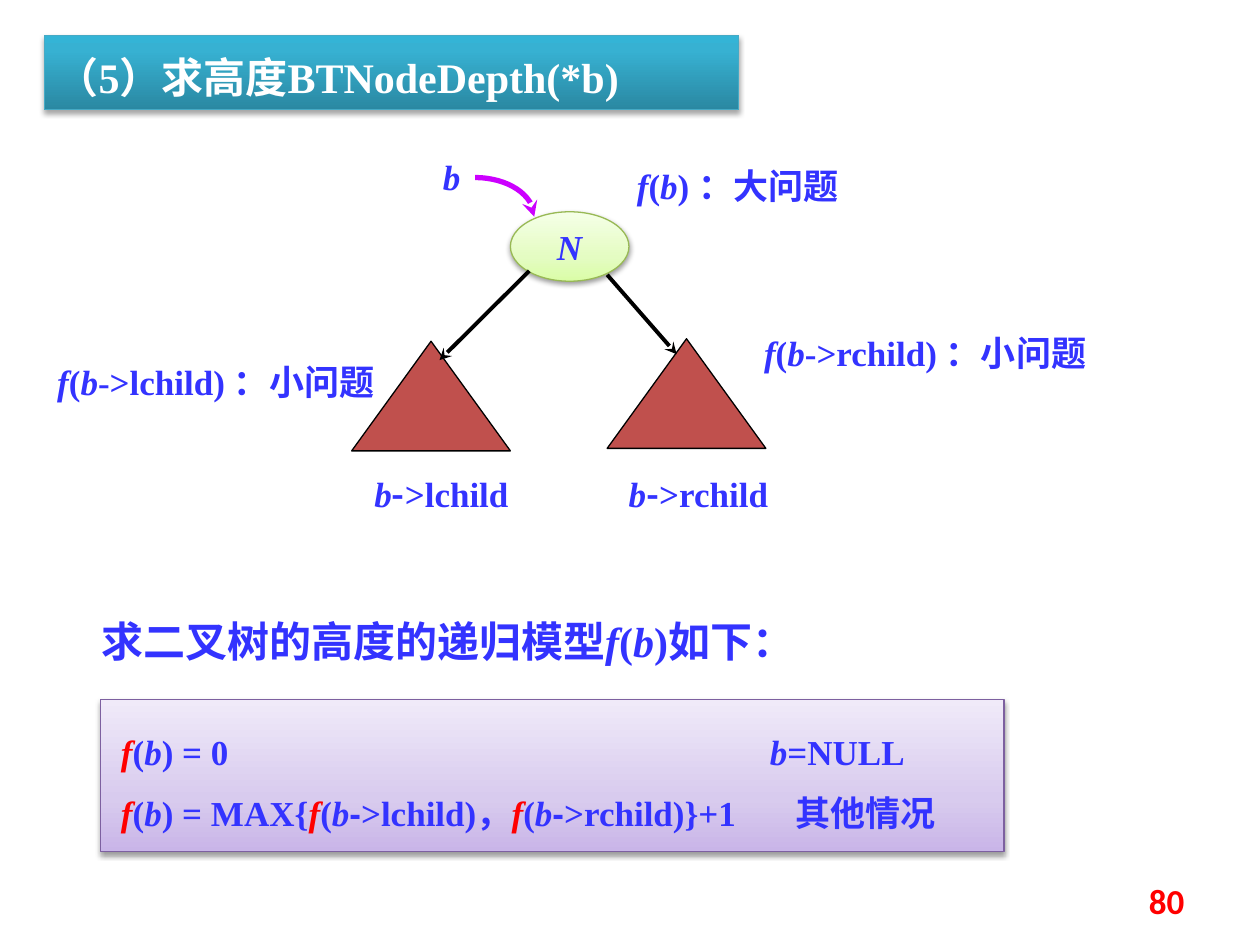
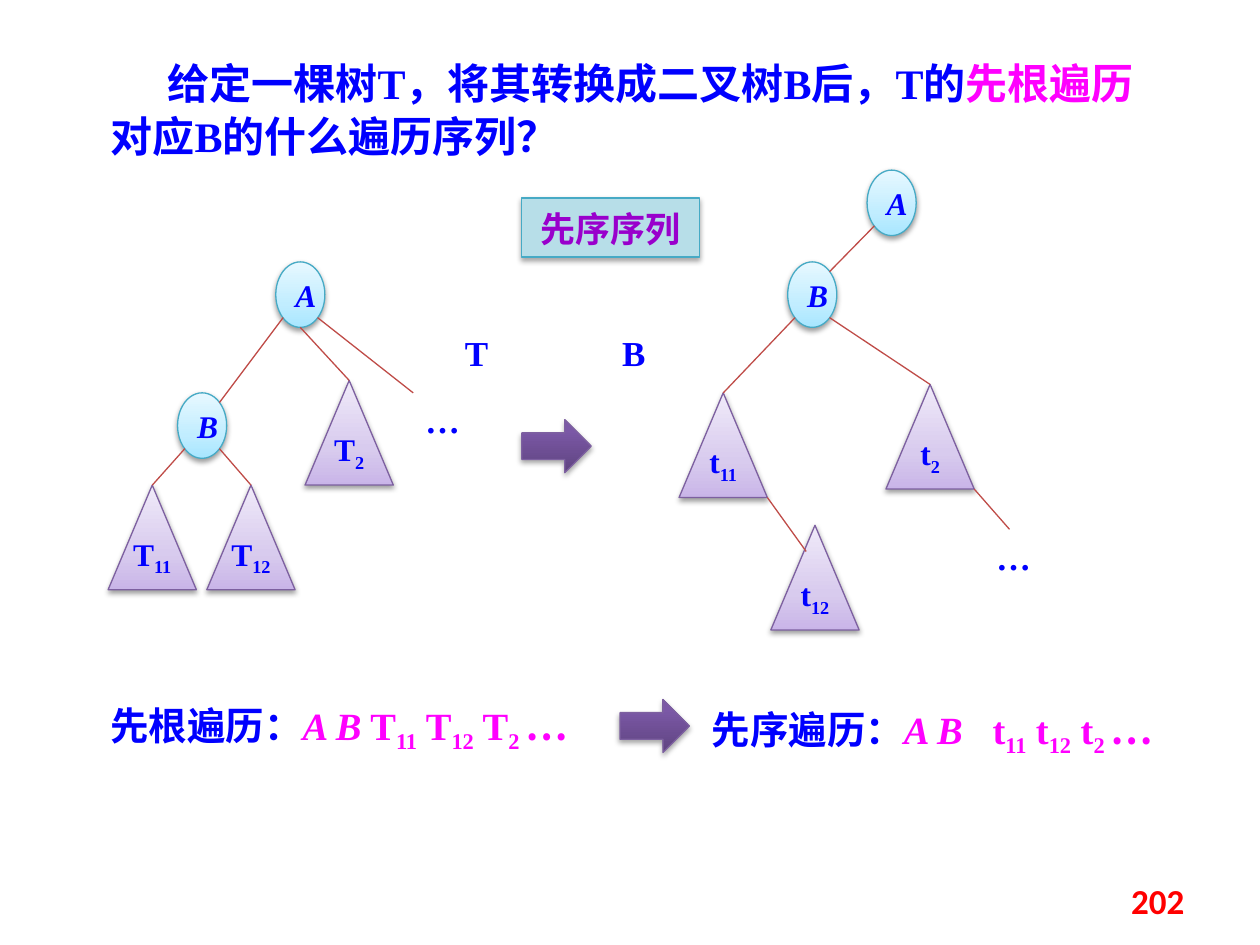
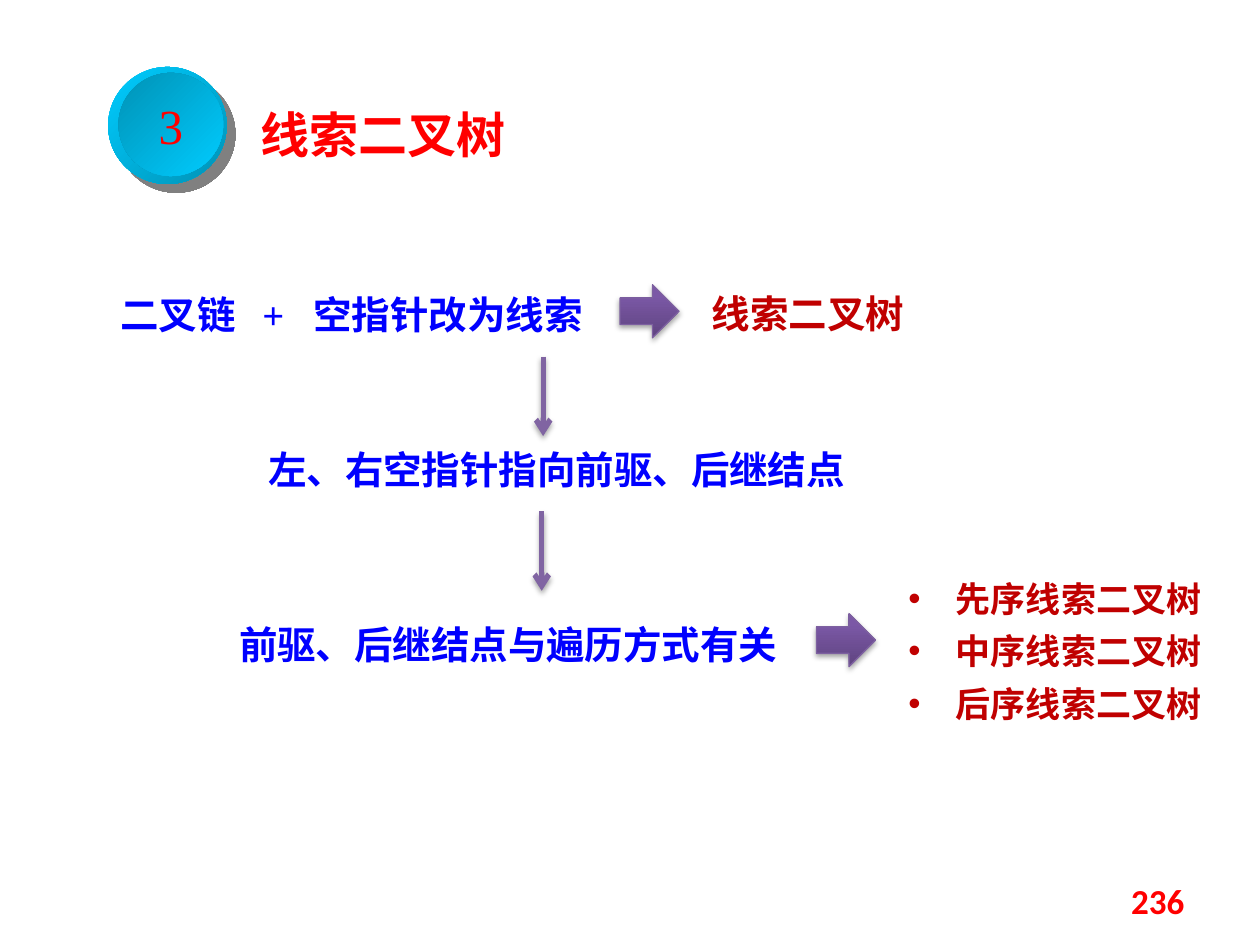
from math import cos, pi, sin

from lxml.etree import SubElement
from pptx import Presentation
from pptx.dml.color import RGBColor
from pptx.enum.shapes import MSO_CONNECTOR, MSO_SHAPE
from pptx.enum.text import MSO_ANCHOR, MSO_AUTO_SIZE, PP_ALIGN
from pptx.oxml.ns import qn
from pptx.util import Cm, Pt

ROMAN, HAN = "Times New Roman", "Noto Sans CJK SC"
INDIGO, BLUE, RED, PINK = "3333FF", "0000FF", "FF0000", "FF00FF"
MAROON, VIOLET, WHITE, BLACK = "C00000", "7D60A0", "FFFFFF", "000000"

# Gradient stops (position, colour) from bottom to top
TEAL = [(0, "2A88A2"), (80, "37B1D2"), (100, "34B4D6")]
LILAC = [(0, "C9B5E8"), (35, "D8CBEE"), (100, "F0EAF9")]
LIME = [(0, "DAFDA7"), (35, "E4FCC2"), (100, "F5FFE7")]
SKY = [(0, "A7E6FF"), (35, "C1EDFF"), (100, "E7F8FF")]
PURPLE = [(0, "5F4480"), (80, "7B58A6"), (100, "7C57A8")]

# Shadow: colour, opacity %, blur pt, distance pt, angle
SOFT = (BLACK, 38, 3.1, 1.6, 90)
FIRM = (BLACK, 35, 3.1, 1.8, 90)
HARD = ("020202", 50, 0, 7.1, 45)

# Points where tree edges meet a node, as fractions of its box
SITES = {"top": (.5, 0), "foot": (.5, 1), "sw": (.15, .85), "se": (.85, .85),
         "ne": (.85, .15), "side": (.4, .25), "end": (1, 1)}


def rgb(code):
    return RGBColor.from_string(code)


def site(shape, name):
    across, down = SITES[name]
    return (shape.left + int(shape.width * across),
            shape.top + int(shape.height * down))


def point(x, y):
    return Cm(x), Cm(y)


def shade(props, shadow):
    """Put one outer shadow, or none, into the shape properties."""
    effects = props.find(qn("a:effectLst"))
    if effects is None:
        effects = SubElement(props, qn("a:effectLst"))
    if shadow:
        color, alpha, blur, dist, angle = shadow
        outer = SubElement(effects, qn("a:outerShdw"), blurRad=str(Pt(blur)),
                           dist=str(Pt(dist)), dir=str(angle * 60000),
                           algn="ctr", rotWithShape="0")
        tint = SubElement(outer, qn("a:srgbClr"), val=color)
        SubElement(tint, qn("a:alpha"), val=str(alpha * 1000))


def tip(line, kind):
    """Add an arrowhead at the far end of a line."""
    SubElement(line._get_or_add_ln(), qn("a:tailEnd"), type=kind)


class Deck:
    def __init__(self):
        self.show = Presentation()
        self.show.slide_width, self.show.slide_height = Cm(25.4), Cm(19.05)

    def page(self, number, layout=5):
        self.slide = self.show.slides.add_slide(self.show.slide_layouts[layout])
        self.shapes = self.slide.shapes
        self.text((18.21, 17.65, 5.92, 1.02), str(number), color=RED,
                  face="Calibri", align=PP_ALIGN.RIGHT, anchor=MSO_ANCHOR.MIDDLE)

    def place(self, shape, box):
        shape.left, shape.top, shape.width, shape.height = map(Cm, box)
        return shape

    def title(self, box, text, **style):
        shape = self.place(self.shapes.title, box)
        self.label(shape, text, **style)
        return shape

    def bullets(self, box, *lines, **style):
        shape = self.place(self.slide.placeholders[1], box)
        self.label(shape, *lines, bullet=True, **style)

    def text(self, box, *lines, **style):
        self.label(self.shapes.add_textbox(*map(Cm, box)), *lines, **style)

    def label(self, shape, *lines, size=20, color=INDIGO, accent=RED, face=ROMAN,
              other=HAN, bold=True, align=PP_ALIGN.LEFT, anchor=MSO_ANCHOR.TOP,
              pads=(.25, .13), wrap=True, pitch=1.0, gap=0, indent=0,
              tabs=(), bullet=False):
        """Fill a shape; _ marks italic, ^ accent, ~ subscript, ` the other face."""
        frame = shape.text_frame
        frame.auto_size, frame.word_wrap = MSO_AUTO_SIZE.NONE, wrap
        frame.vertical_anchor = anchor
        frame.margin_left = frame.margin_right = Cm(pads[0])
        frame.margin_top = frame.margin_bottom = Cm(pads[1])
        for row, line in enumerate(lines):
            para = frame.add_paragraph() if row else frame.paragraphs[0]
            para.alignment, para.line_spacing = align, pitch
            para.space_before = Pt(gap if row else 0)
            props = para._p.get_or_add_pPr()
            if bullet:
                props.set("marL", str(Cm(.96)))
                props.set("indent", str(Cm(-.96)))
                SubElement(props, qn("a:buChar"), char="•")
            elif indent:
                props.set("indent", str(Cm(indent)))
            if tabs:
                stops = SubElement(props, qn("a:tabLst"))
                # One stop per row, or all stops on a single row
                for stop in tabs if len(lines) == 1 else tabs[row:row + 1]:
                    SubElement(stops, qn("a:tab"), pos=str(Cm(stop)), algn="l")
            font = para.font
            font.size, font.bold, font.name = Pt(size), bold, face
            font.color.rgb = rgb(color)
            SubElement(props.find(qn("a:defRPr")), qn("a:ea"), typeface=HAN)
            self.runs(para, line, accent, other)

    def runs(self, para, line, accent, other):
        for hue, part in enumerate(line.split("^")):
            for slant, piece in enumerate(part.split("_")):
                for low, bit in enumerate(piece.split("~")):
                    for alt, word in enumerate(bit.split("`")):
                        if not word:
                            continue
                        run = para.add_run()
                        run.text = word
                        if hue % 2:
                            run.font.color.rgb = rgb(accent)
                        if slant % 2:
                            run.font.italic = True
                        if low % 2:
                            run._r.get_or_add_rPr().set("baseline", "-25000")
                        if alt % 2:
                            run.font.name = other

    def paint(self, shape, fill, line=None, shadow=None, angle=270):
        """Fill with a colour or gradient stops, then set outline and shadow."""
        if isinstance(fill, str):
            shape.fill.solid()
            shape.fill.fore_color.rgb = rgb(fill)
        else:
            shape.fill.gradient()
            grad = shape._element.spPr.find(qn("a:gradFill"))
            stops = grad.find(qn("a:gsLst"))
            for old in list(stops):
                stops.remove(old)
            for pos, color in fill:
                stop = SubElement(stops, qn("a:gs"), pos=str(pos * 1000))
                SubElement(stop, qn("a:srgbClr"), val=color)
            grad.find(qn("a:lin")).set("ang", str(angle * 60000))
        if line:
            shape.line.color.rgb = rgb(line)
            shape.line.width = Pt(.75)
        else:
            shape.line.fill.background()
        shape.shadow.inherit = False
        shade(shape._element.spPr, shadow)

    def shape(self, kind, box, fill, line=None, shadow=None, angle=270):
        shape = self.shapes.add_shape(kind, *map(Cm, box))
        self.paint(shape, fill, line, shadow, angle)
        return shape

    def block(self, x, y, width=1.19):
        """Draw a block arrow pointing right."""
        self.shape(MSO_SHAPE.RIGHT_ARROW, (x, y, width, 1.07), PURPLE, VIOLET, FIRM)

    def node(self, x, y, name):
        shape = self.shape(MSO_SHAPE.OVAL, (x, y, .99, 1.32), SKY, "46AAC5", SOFT)
        self.label(shape, f"_{name}_", size=18, color=BLUE,
                   align=PP_ALIGN.CENTER, anchor=MSO_ANCHOR.MIDDLE)
        return shape

    def subtree(self, x, y, name):
        shape = self.shape(MSO_SHAPE.ISOSCELES_TRIANGLE, (x, y, 1.78, 2.11),
                           LILAC, VIOLET, SOFT)
        self.label(shape, name, size=18, color=BLUE, pads=(0, 0), pitch=Pt(16),
                   align=PP_ALIGN.CENTER, anchor=MSO_ANCHOR.MIDDLE)
        return shape

    def line(self, start, end, color, width=.75, head=None, shadow=None):
        line = self.shapes.add_connector(MSO_CONNECTOR.STRAIGHT, *start, *end)
        line.line.color.rgb = rgb(color)
        line.line.width = Pt(width)
        if head:
            tip(line.line, head)
        shade(line._element.spPr, shadow)

    def arc(self, x, y, width, height, color):
        """Draw a quarter ellipse from top left to bottom right, with a head."""
        steps = 16
        turns = [i * pi / 2 / steps for i in range(steps + 1)]
        dots = [point(x + width * sin(t), y + height * (1 - cos(t))) for t in turns]
        pen = self.shapes.build_freeform(*dots[0])
        pen.add_line_segments(dots[1:], close=False)
        curve = pen.convert_to_shape()
        curve.fill.background()
        curve.line.color.rgb = rgb(color)
        curve.line.width = Pt(3)
        curve.shadow.inherit = False
        tip(curve.line, "stealth")


def depth(deck):
    deck.page(80)
    head = deck.title((.89, .71, 14, 1.5), "（5）求高度BTNodeDepth(*b)",
                      size=24, color=WHITE, pitch=1.2)
    deck.paint(head, TEAL, "46AAC5", FIRM)

    model = deck.shape(MSO_SHAPE.RECTANGLE, (2.03, 14.1, 18.21, 3.07),
                       LILAC, VIOLET, SOFT)
    deck.label(model, "^_f_^(_b_) = 0\t_b_=NULL",
               "^_f_^(_b_) = MAX{^_f_^(_b_`-`>lchild)，^_f_^(_b_`-`>rchild)}+1\t其他情况",
               other="Arial", pads=(.41, .45), pitch=1.2, gap=6, tabs=(13.08, 13.6))
    deck.text((1.63, 11.91, 18.8, 1.83), "求二叉树的高度的递归模型_f_(_b_)如下：",
              size=24, pads=(.41, .3), pitch=1.2)

    root = deck.shape(MSO_SHAPE.OVAL, (10.29, 4.27, 2.39, 1.4), LIME, "98B955", SOFT)
    deck.label(root, "_N_", wrap=False, align=PP_ALIGN.CENTER,
               anchor=MSO_ANCHOR.MIDDLE)
    deck.arc(9.58, 3.58, 1.19, .79, "CC00FF")
    for x, y in ((7.09, 6.88), (12.24, 6.83)):
        deck.shape(MSO_SHAPE.ISOSCELES_TRIANGLE, (x, y, 3.2, 2.21), "C0504D", BLACK)
    for start, end in (((10.67, 5.46), (8.86, 7.26)), ((12.24, 5.54), (13.64, 7.14))):
        deck.line(point(*start), point(*end), BLACK, 2.25, "stealth")
    for x, y, width, name in (
            (8.1, 3, 2.01, "_b_"),
            (6.5, 9.4, 4.8, "_b_`-`>lchild"),
            (11.68, 9.4, 4.8, "_b_`-`>rchild"),
            (12.29, 3.18, 5.16, "_f_(_b_) ：大问题"),
            (14.88, 6.55, 7.54, "_f_(_b_->rchild) ：小问题"),
            (.58, 7.14, 7.54, "_f_(_b_->lchild) ：小问题")):
        deck.text((x, y, width, 1.12), name, align=PP_ALIGN.CENTER)


def convert(deck):
    deck.page(202)
    deck.title((1.98, .99, 21.44, 2.39),
               "给定一棵树T，将其转换成二叉树B后，T的^先根遍历^对应B的什么遍历序列？",
               size=24, color=BLUE, accent=PINK, pitch=Pt(30), indent=1.15)

    for x, y, order in (
            (1.98, 14.02, "先根遍历：^_A B_ T~11~ T~12~ T~2 ~`…`^"),
            (14.1, 14.1, "先序遍历：^_A B_\tt~11~ t~12~ t~2 ~`…`^")):
        deck.text((x, y, 10.11, 1.24), order, size=22, color=BLUE, accent=PINK,
                  pitch=Pt(30), tabs=(5.66,))
    for x, y in ((12.5, 14.1), (10.52, 8.46)):
        deck.block(x, y, 1.4)

    tree = deck.node(5.56, 5.28, "A")
    child = deck.node(3.58, 7.92, "B")
    root = deck.node(17.48, 3.43, "A")
    left = deck.node(15.88, 5.28, "B")
    big11, big12, big2, low11, low12, low2 = [
        deck.subtree(x, y, name) for x, y, name in (
            (2.18, 9.78, "T~11~"), (4.17, 9.78, "T~12~"), (6.15, 7.67, "T~2~"),
            (13.69, 7.92, "t~11~"), (15.54, 10.59, "t~12~"), (17.86, 7.75, "t~2~"))]
    edges = [(tree, "sw", site(child, "ne")), (tree, "foot", site(big2, "top")),
             (tree, "se", point(8.33, 7.92)),
             (child, "sw", site(big11, "top")), (child, "se", site(big12, "top")),
             (root, "sw", site(left, "ne")),
             (left, "sw", site(low11, "top")), (left, "se", site(low2, "top")),
             (low11, "end", site(low12, "side")), (low2, "end", point(20.35, 10.67))]
    for start, corner, end in edges:
        deck.line(site(start, corner), end, "BF4C48")

    for x, y, name in ((8.33, 7.92, "`…`"), (19.84, 10.67, "`…`"),
                       (9.12, 6.35, "T"), (12.29, 6.35, "B")):
        deck.text((x, y, 1.4, 1.32), name, color=BLUE, pitch=Pt(30))
    answer = deck.shape(MSO_SHAPE.RECTANGLE, (10.52, 3.99, 3.58, 1.19),
                        "B7DEE8", "46AAC5", FIRM)
    deck.label(answer, "先序序列", color="9900CC", face=HAN, pitch=Pt(26),
               align=PP_ALIGN.CENTER)


def thread(deck):
    deck.page(236, layout=1)
    deck.title((4.57, 1.98, 7.54, 1.47), "线索二叉树", size=28, color=RED,
               face=HAN, indent=.44)
    dark, light = "0092B6", "00CCFF"
    deck.shape(MSO_SHAPE.OVAL, (2.18, 1.35, 2.39, 2.36),
               [(0, light), (100, dark)], shadow=HARD, angle=45)
    badge = deck.shape(MSO_SHAPE.OVAL, (2.39, 1.47, 2.11, 2.08),
                       [(0, dark), (100, light)], angle=45)
    deck.label(badge, "3", size=28, color=RED, bold=False, wrap=False,
               align=PP_ALIGN.CENTER, anchor=MSO_ANCHOR.MIDDLE)

    for x, y, width, step in (
            (2.18, 5.61, 10.52, "二叉链\t+\t空指针改为线索"),
            (5.16, 8.74, 12.5, "左、右空指针指向前驱、后继结点"),
            (4.57, 12.27, 11.91, "前驱、后继结点与遍历方式有关")):
        deck.text((x, y, width, 1.32), step, size=22, color=BLUE, pitch=Pt(30),
                  tabs=(2.86, 3.89))
    deck.text((14.1, 5.59, 5.16, 1.32), "线索二叉树", size=22, color=MAROON,
              face=HAN, pitch=Pt(30))
    for x, y in ((10.95, 7.19), (10.92, 10.31)):
        deck.line(point(x, y), point(x, y + 1.6), "8064A2", 3, "arrow", FIRM)
    for x, y in ((12.5, 5.74), (16.46, 12.37)):
        deck.block(x, y)
    deck.bullets((18.06, 11.3, 6.76, 3.45),
                 *(f"{order}序线索二叉树" for order in "先中后"),
                 color=MAROON, face=HAN, pitch=Pt(30))


def main():
    deck = Deck()
    depth(deck)
    convert(deck)
    thread(deck)
    deck.show.save("out.pptx")


if __name__ == "__main__":
    main()
